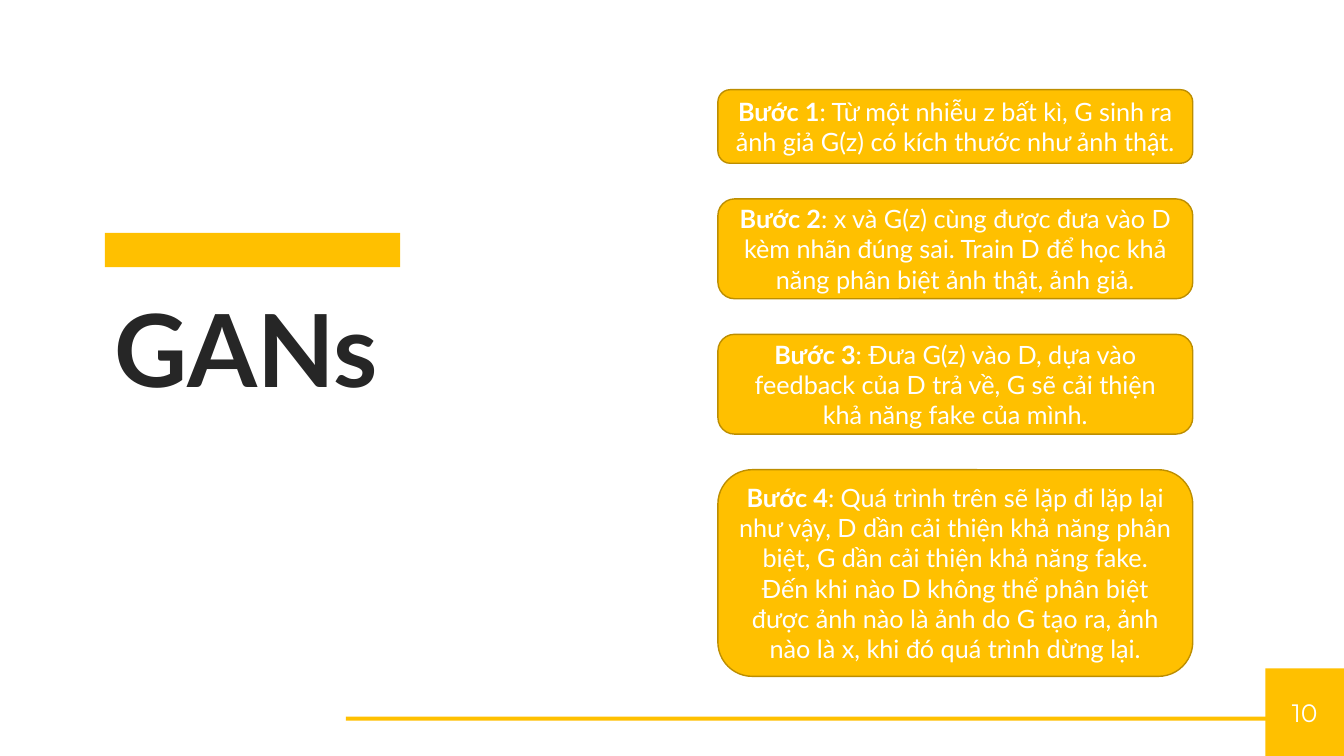
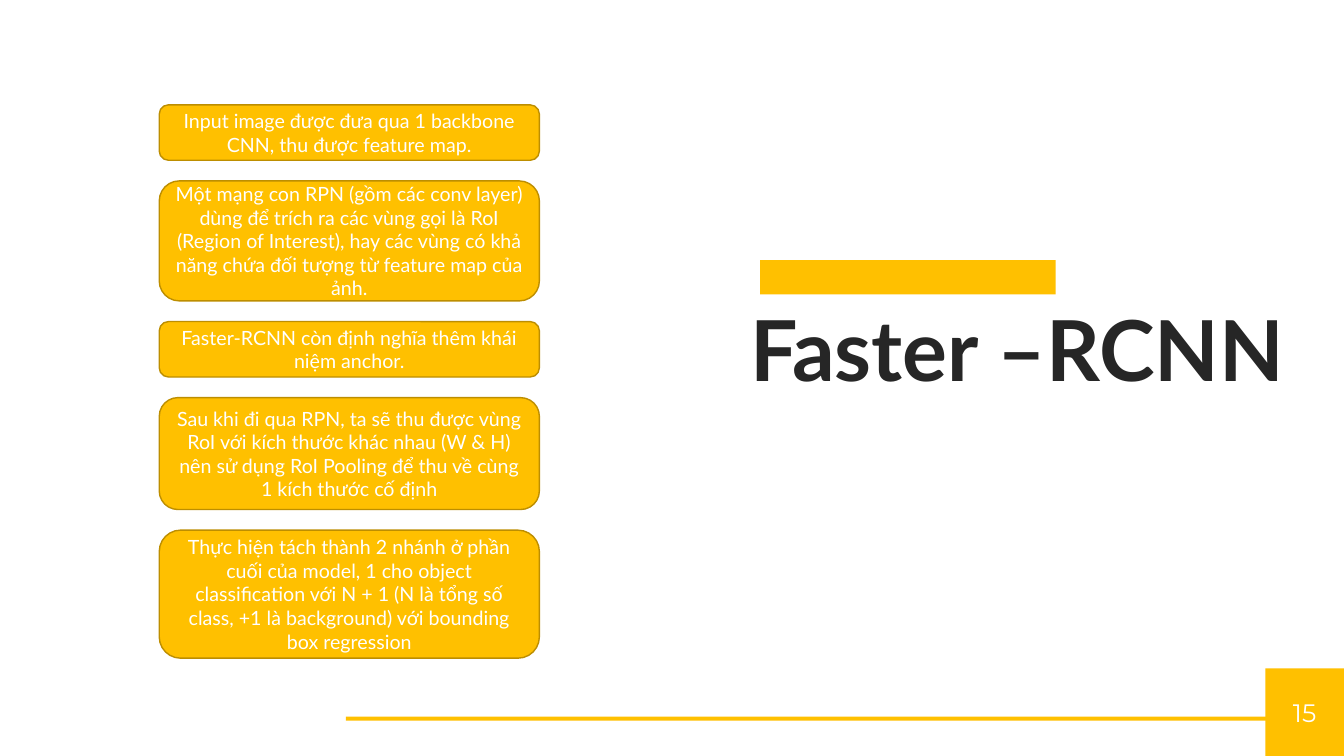
from dataclasses import dataclass

from pptx import Presentation
from pptx.dml.color import RGBColor
from pptx.enum.shapes import MSO_SHAPE as Shape
from pptx.enum.text import MSO_ANCHOR as Anchor, MSO_AUTO_SIZE as AutoSize, PP_ALIGN as Align
from pptx.util import Inches, Pt


@dataclass(frozen=True)
class Theme:
    accent: RGBColor = RGBColor.from_string("FFC000")
    outline: RGBColor = RGBColor.from_string("BD8E00")
    dark: RGBColor = RGBColor.from_string("262626")
    white: RGBColor = RGBColor.from_string("FFFFFF")
    body_font: str = "Lato"
    number_font: str = "Montserrat"
    number_size: int = 18
    large_title: int = 72
    medium_title: int = 60
    large_body: int = 18
    small_body: int = 14


class SlideBuilder:
    """Holds the style and the slide being drawn."""

    def __init__(self, deck, theme):
        self.deck = deck
        self.theme = theme
        self.page = None

    def start(self, number):
        """Add a title-only slide with the shared footer."""
        self.page = self.deck.slides.add_slide(self.deck.slide_layouts[5])
        self.block(3.43, 7.11, 9.2, 0.04)
        corner = self.block(12.55, 6.63, 0.78, 0.87)
        self.set_text(corner, [(str(number), False)], self.theme.number_font, self.theme.number_size)

    def block(self, left, top, width, height, kind=Shape.RECTANGLE):
        """Add a flat accent-coloured shape without outline."""
        block = self.page.shapes.add_shape(
            kind, Inches(left), Inches(top), Inches(width), Inches(height))
        block.shadow.inherit = False
        block.fill.solid()
        block.fill.fore_color.rgb = self.theme.accent
        block.line.fill.background()
        return block

    def set_text(self, box, spans, font, size, color=None, align=Align.CENTER, anchor=Anchor.MIDDLE):
        """Fill a shape with one paragraph of (text, bold) spans."""
        frame = box.text_frame
        frame.word_wrap = True
        frame.auto_size = AutoSize.NONE
        frame.vertical_anchor = anchor
        para = frame.paragraphs[0]
        para.alignment = align
        for text, bold in spans:
            span = para.add_run()
            span.text = text
            span.font.name = font
            span.font.size = Pt(size)
            span.font.bold = bold
            span.font.color.rgb = color or self.theme.white

    def title(self, text, left, top, width, height, size):
        """Place and format the title placeholder."""
        title = self.page.shapes.title
        title.left, title.top = Inches(left), Inches(top)
        title.width, title.height = Inches(width), Inches(height)
        self.set_text(title, [(text, True)], self.theme.body_font, size,
                      self.theme.dark, Align.LEFT, Anchor.TOP)

    def title_bar(self, left, top):
        self.block(left, top, 2.93, 0.34)

    def steps(self, left, top, bottom, width, size, steps):
        """Stack rounded boxes with equal gaps; steps are (height, lead, text)."""
        used = sum(height for height, _, _ in steps)
        gap = (bottom - top - used) / (len(steps) - 1)
        for height, lead, text in steps:
            box = self.block(left, top, width, height, Shape.ROUNDED_RECTANGLE)
            box.line.color.rgb = self.theme.outline
            box.line.width = Pt(1)
            spans = [(lead, True)] if lead else []
            self.set_text(box, spans + [(text, False)], self.theme.body_font, size)
            top += height + gap


GAN_STEPS = [
    (0.73, "Bước 1", ": Từ một nhiễu z bất kì, G sinh ra ảnh giả G(z) có kích thước như ảnh thật."),
    (0.99, "Bước 2", ": x và G(z) cùng được đưa vào D kèm nhãn đúng sai. "
                     "Train D để học khả năng phân biệt ảnh thật, ảnh giả."),
    (0.99, "Bước 3", ": Đưa G(z) vào D, dựa vào feedback của D trả về, "
                     "G sẽ cải thiện khả năng fake của mình."),
    (2.05, "Bước 4", ": Quá trình trên sẽ lặp đi lặp lại như vậy, D dần cải thiện khả năng phân biệt, "
                     "G dần cải thiện khả năng fake. Đến khi nào D không thể phân biệt được ảnh nào "
                     "là ảnh do G tạo ra, ảnh nào là x, khi đó quá trình dừng lại."),
]

RCNN_STEPS = [
    (0.55, "", "Input image được đưa qua 1 backbone CNN, thu được feature map."),
    (1.19, "", "Một mạng con RPN (gồm các conv layer) dùng để trích ra các vùng gọi là RoI "
               "(Region of Interest), hay các vùng có khả năng chứa đối tượng từ feature map của ảnh."),
    (0.55, "", "Faster-RCNN còn định nghĩa thêm khái niệm anchor."),
    (1.11, "", "Sau khi đi qua RPN, ta sẽ thu được vùng RoI với kích thước khác nhau (W & H) "
               "nên sử dụng RoI Pooling để thu về cùng 1 kích thước cố định"),
    (1.27, "", "Thực hiện tách thành 2 nhánh ở phần cuối của model, 1 cho object classification "
               "với N + 1 (N là tổng số class, +1 là background) với bounding box regression"),
]


def main():
    deck = Presentation()
    deck.slide_width, deck.slide_height = Inches(13.33), Inches(7.5)
    theme = Theme()
    builder = SlideBuilder(deck, theme)

    # GANs: title on the left, steps on the right
    builder.start(10)
    builder.title("GANs", 1.04, 2.79, 3.09, 1.31, theme.large_title)
    builder.title_bar(1.04, 2.31)
    builder.steps(7.12, 0.89, 6.71, 4.71, theme.large_body, GAN_STEPS)

    # Faster-RCNN: steps on the left, title on the right
    builder.start(15)
    builder.title("Faster –RCNN", 7.34, 2.9, 5.9, 1.11, theme.medium_title)
    builder.title_bar(7.54, 2.58)
    builder.steps(1.58, 1.04, 6.53, 3.77, theme.small_body, RCNN_STEPS)

    deck.save("out.pptx")


if __name__ == "__main__":
    main()
